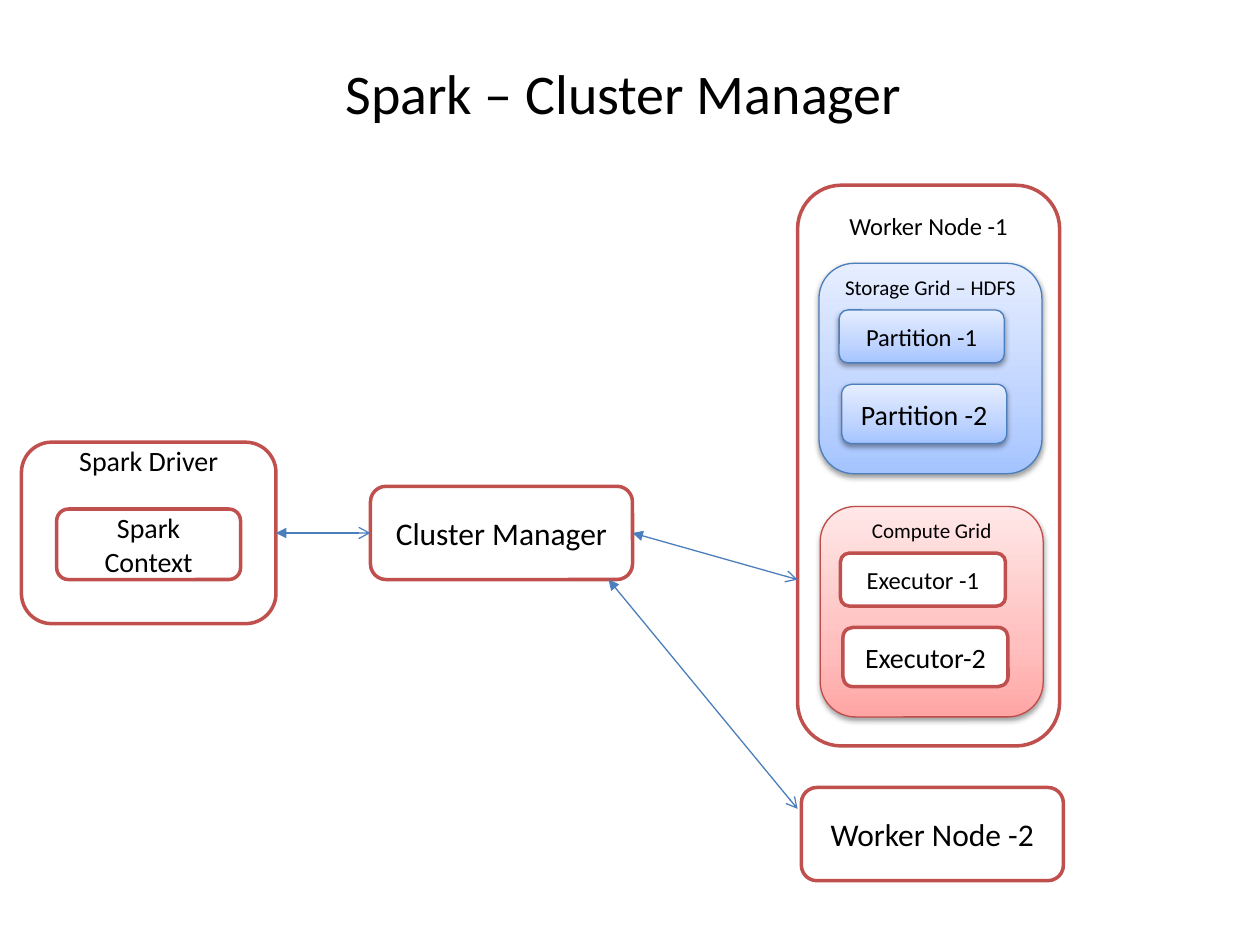
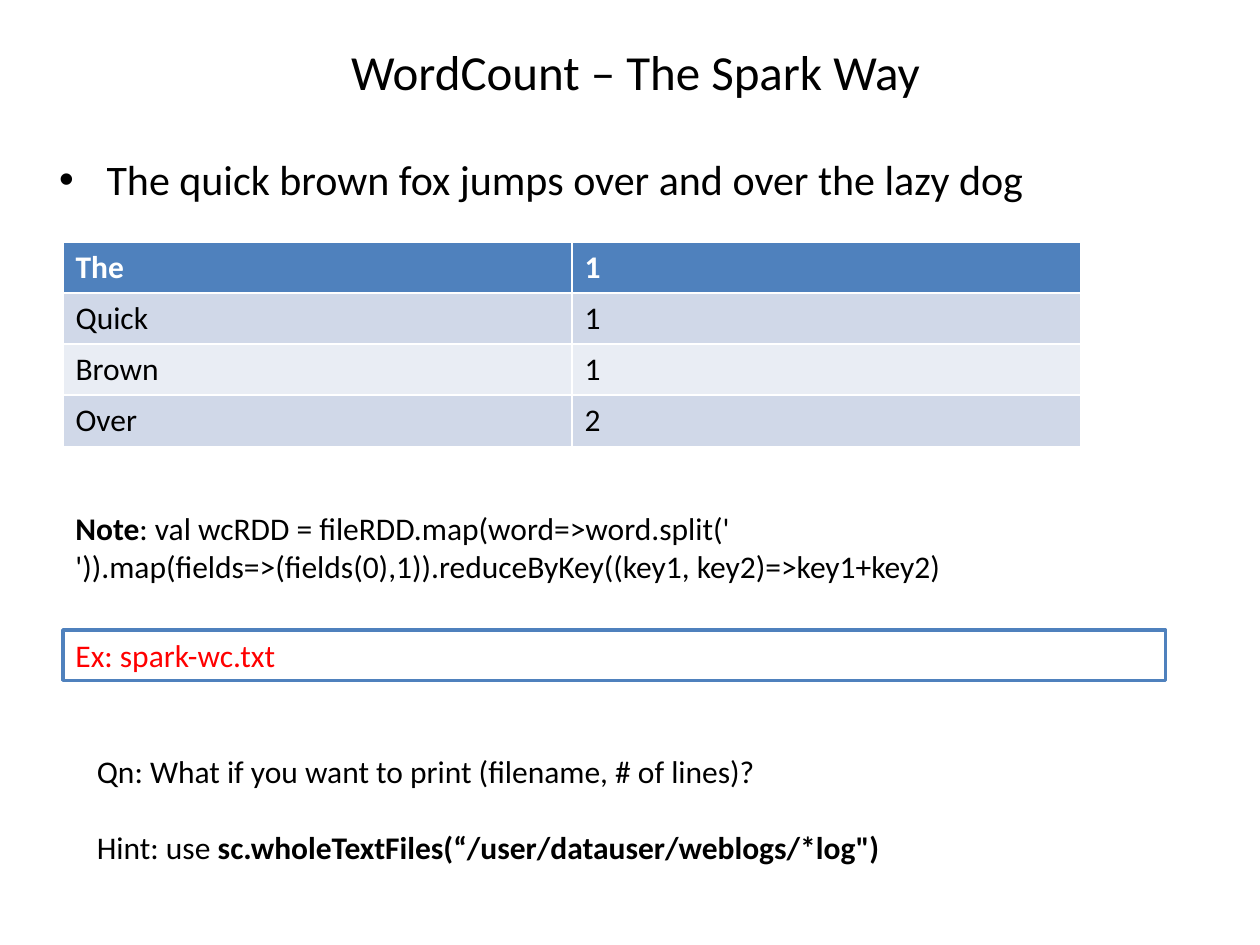
from pptx import Presentation
from pptx.dml.color import RGBColor
from pptx.enum.shapes import MSO_CONNECTOR as Connector, MSO_SHAPE as Shape
from pptx.enum.text import MSO_ANCHOR as Anchor, MSO_AUTO_SIZE as AutoSize, PP_ALIGN as Align
from pptx.oxml import parse_xml
from pptx.oxml.ns import nsdecls
from pptx.util import Inches, Pt

FONT = "Calibri"
COLORS = {
    "black": "000000", "white": "FFFFFF", "example": "FF0000",
    "red": "C0504D", "red_edge": "BF4C48",
    "blue": "4F81BD", "blue_edge": "4B7EBC",
    "band_dark": "D0D8E8", "band_light": "E9EDF4",
}
GRADIENTS = {
    "blue_edge": ("A4C4FF", "BFD4FF", "E6EEFF"),
    "red_edge": ("FFA6A5", "FFC0BF", "FFE7E7"),
}
STOPS = (0, 35000, 100000)


def color(name):
    return RGBColor.from_string(COLORS[name])


def add_text(paragraph, text, size=18, ink="black", bold=False, align=None, before=None):
    run = paragraph.add_run()
    run.text = text
    run.font.name = FONT
    run.font.size = Pt(size)
    run.font.bold = bold
    run.font.color.rgb = color(ink)
    if align is not None:
        paragraph.alignment = align
    if before is not None:
        paragraph.space_before = Pt(before)


def drawing(tag, attributes="", content=""):
    return parse_xml(f"<a:{tag} {nsdecls('a')} {attributes}>{content}</a:{tag}>")


class SlideBuilder:
    def __init__(self, presentation):
        self.presentation = presentation
        self.slide = None

    def new_slide(self, layout, title, height, size):
        self.slide = self.presentation.slides.add_slide(self.presentation.slide_layouts[layout])
        self.placeholder(self.slide.shapes.title, title, (0.5, 0.3, 9, height),
                         size=size, align=Align.CENTER)

    def placeholder(self, shape, text, box, **style):
        shape.left, shape.top, shape.width, shape.height = map(Inches, box)
        shape.text_frame.auto_size = AutoSize.NONE
        add_text(shape.text_frame.paragraphs[0], text, **style)

    def body(self, text, box, **style):
        self.placeholder(self.slide.placeholders[1], text, box, **style)

    def box(self, text, box, kind=Shape.ROUNDED_RECTANGLE, edge="red", width=2,
            label_inset=None, align=Align.CENTER, **style):
        shape = self.slide.shapes.add_shape(kind, *map(Inches, box))
        shape.shadow.inherit = False
        shape.fill.solid()
        shape.fill.fore_color.rgb = color("white")
        shape.line.color.rgb = color(edge)
        shape.line.width = Pt(width)
        frame = shape.text_frame
        frame.word_wrap = True
        frame.vertical_anchor = Anchor.MIDDLE
        if label_inset is not None:
            frame.vertical_anchor = Anchor.TOP
            frame.margin_top = Inches(label_inset)
        add_text(frame.paragraphs[0], text, align=align, **style)
        return shape

    def gradient_box(self, text, box, edge, **style):
        shape = self.box(text, box, edge=edge, width=0.75, **style)
        properties = shape.fill._xPr
        stops = "".join(f'<a:gs pos="{position}"><a:srgbClr val="{value}"/></a:gs>'
                        for position, value in zip(STOPS, GRADIENTS[edge]))
        gradient = drawing("gradFill", 'rotWithShape="1"',
                           f'<a:gsLst>{stops}</a:gsLst><a:lin ang="16200000" scaled="0"/>')
        properties.replace(properties.find(".//{*}solidFill"), gradient)
        properties.find("{*}effectLst").append(drawing(
            "outerShdw", 'blurRad="40000" dist="20000" dir="5400000" rotWithShape="0"',
            f'<a:srgbClr val="{COLORS["black"]}"><a:alpha val="38000"/></a:srgbClr>'))

    def arrow(self, start, end, begin_shape=None, end_shape=None):
        connector = self.slide.shapes.add_connector(
            Connector.STRAIGHT, *map(Inches, start + end))
        if begin_shape is not None:
            connector.begin_connect(begin_shape, 3)
        if end_shape is not None:
            connector.end_connect(end_shape, 1)
        connector.line.color.rgb = color("blue_edge")
        connector.line.width = Pt(0.75)
        line = connector.line._get_or_add_ln()
        line.append(drawing("headEnd", 'type="triangle"'))
        line.append(drawing("tailEnd", 'type="arrow"'))
        connector._element.spPr.append(drawing("effectLst"))

    def text_box(self, paragraphs, box, gap=0):
        frame = self.slide.shapes.add_textbox(*map(Inches, box)).text_frame
        frame.word_wrap = True
        for index, runs in enumerate(paragraphs):
            paragraph = frame.add_paragraph() if index else frame.paragraphs[0]
            for text, bold in runs:
                add_text(paragraph, text, bold=bold, before=gap if index else None)

    def table(self, rows, box):
        table = self.slide.shapes.add_table(len(rows), len(rows[0]), *map(Inches, box)).table
        for row_index, row in enumerate(rows):
            header = row_index == 0
            fill = "blue" if header else ("band_light", "band_dark")[row_index % 2]
            for column_index, text in enumerate(row):
                cell = table.cell(row_index, column_index)
                cell.fill.solid()
                cell.fill.fore_color.rgb = color(fill)
                add_text(cell.text_frame.paragraphs[0], text, bold=header,
                         ink="white" if header else "black")


def cluster_manager_slide(builder):
    builder.new_slide(5, "Spark – Cluster Manager ", 0.87, 32)
    driver = builder.box("Spark Driver", (0.17, 3.51, 2.02, 1.44), size=16, label_inset=-0.06)
    builder.box("Spark Context", (0.45, 4.04, 1.46, 0.56), size=16)
    manager = builder.box("Cluster Manager", (2.94, 3.86, 2.08, 0.74))
    builder.box("Worker Node -1", (6.33, 1.47, 2.08, 4.45), size=14, label_inset=0.1)

    grids = (
        ("Storage Grid – HDFS", "Partition -1", "Partition -2", 6.5, 2.09, "blue_edge"),
        ("Compute Grid", "Executor -1", "Executor-2", 6.51, 4.02, "red_edge"),
    )
    for name, first, second, left, top, edge in grids:
        builder.gradient_box(name, (left, top, 1.77, 1.67), edge, size=12, label_inset=0.01)
        items = ((first, 0.16, 0.37, 0.42, 14), (second, 0.18, 0.96, 0.47, 16))
        for text, across, down, height, size in items:
            item_box = (left + across, top + down, 1.31, height)
            if edge == "blue_edge":
                builder.gradient_box(text, item_box, edge, size=size)
            else:
                builder.box(text, item_box, size=size)

    builder.box("Worker Node -2", (6.36, 6.25, 2.08, 0.74))
    builder.arrow((5.02, 4.23), (6.33, 4.6), begin_shape=manager)
    builder.arrow((2.19, 4.23), (2.94, 4.23), begin_shape=driver, end_shape=manager)
    builder.arrow((4.83, 4.6), (6.33, 6.42))


def word_count_slide(builder):
    builder.new_slide(1, " WordCount – The Spark Way", 0.53, 28)
    builder.body("The quick brown fox jumps over and over the lazy dog",
                 (0.37, 1.17, 8.5, 0.83), size=24)
    builder.table((("The", "1"), ("Quick", "1"), ("Brown", "1"), ("Over", "2")),
                  (0.5, 1.92, 8.08, 1.62))
    code = (": val wcRDD = fileRDD.map(word=>word.split(' '))"
            ".map(fields=>(fields(0),1)).reduceByKey((key1, key2)=>key1+key2)")
    builder.text_box([[("Note", True), (code, False)]], (0.5, 3.99, 8.25, 1.01))
    builder.box("Ex: spark-wc.txt", (0.5, 5, 8.75, 0.4), kind=Shape.RECTANGLE,
                edge="blue", ink="example", align=Align.LEFT)
    builder.text_box([
        [("Qn: What if you want to print (filename, # of lines)?", False)],
        [("Hint: use ", False), ("sc.wholeTextFiles(“/user/datauser/weblogs/*log\")", True)],
    ], (0.67, 5.92, 8.75, 1.04), gap=22)


def main():
    presentation = Presentation()
    presentation.slide_width = Inches(10)
    presentation.slide_height = Inches(7.5)
    builder = SlideBuilder(presentation)
    cluster_manager_slide(builder)
    word_count_slide(builder)
    presentation.save("out.pptx")


if __name__ == "__main__":
    main()
